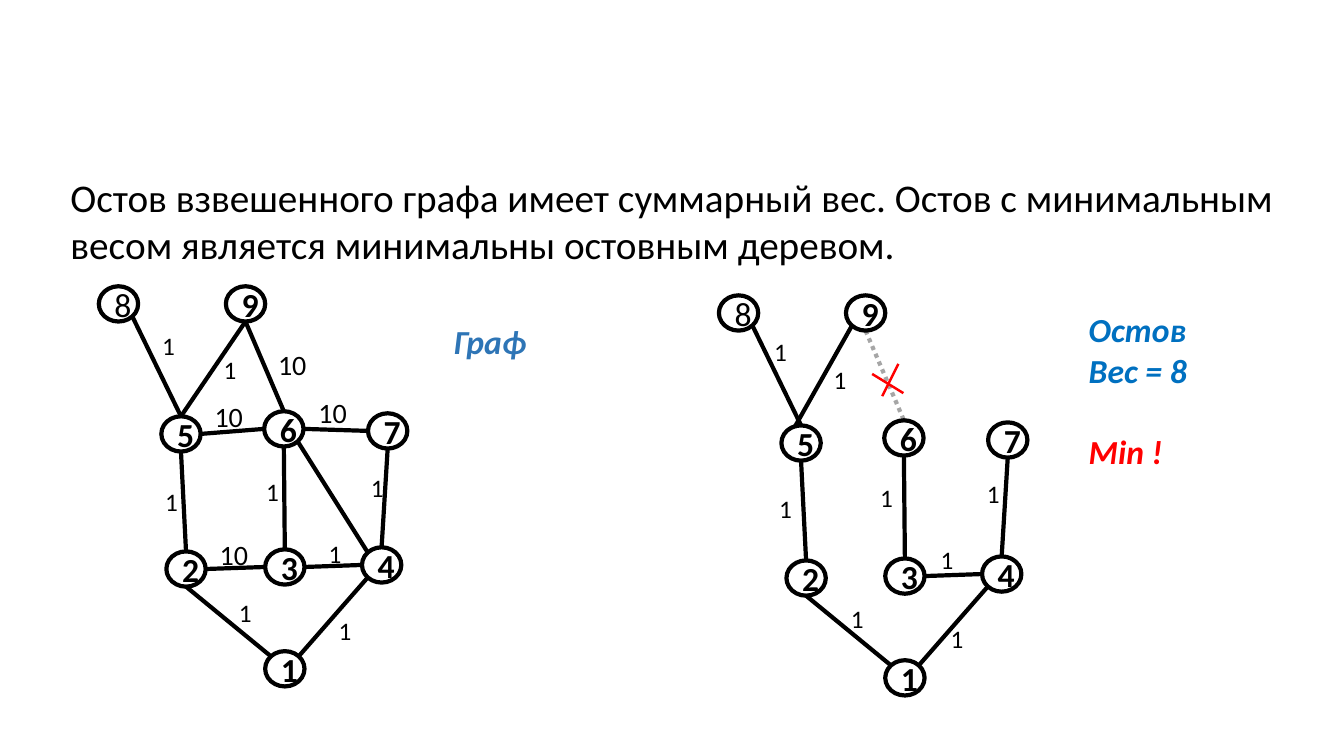
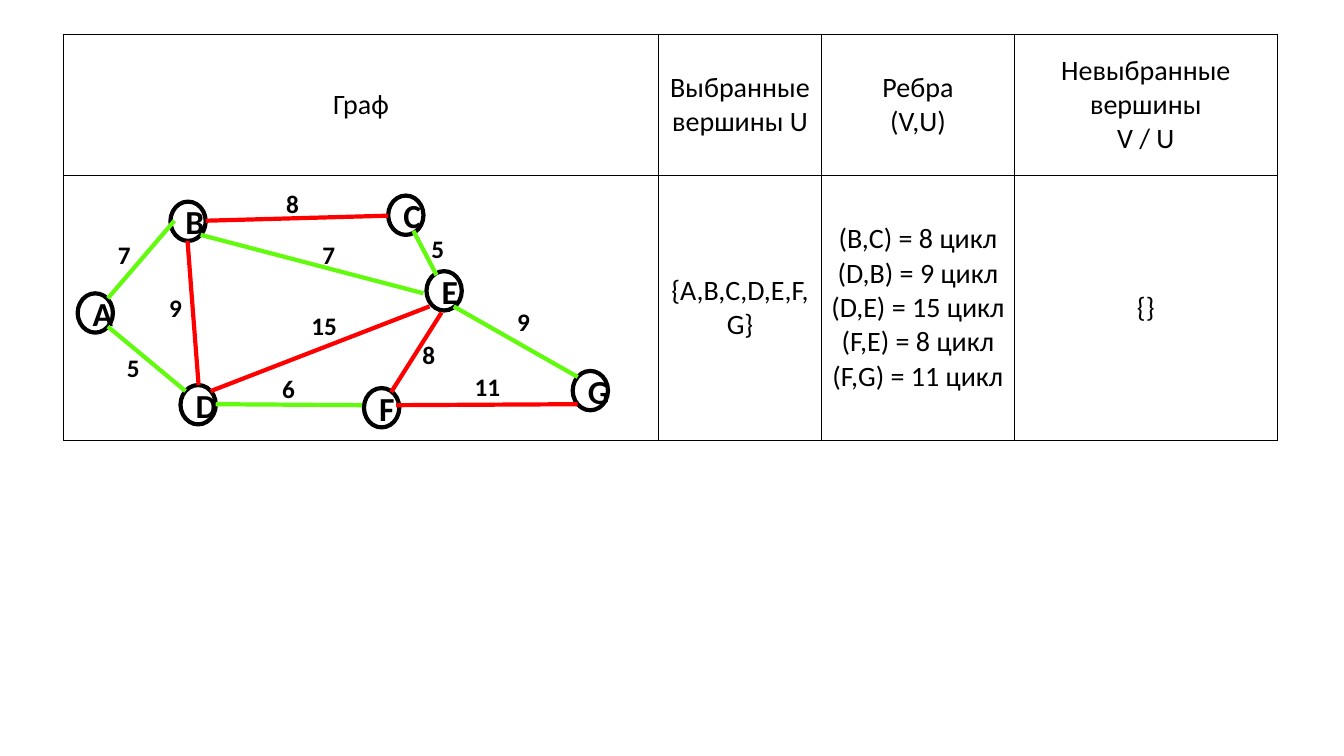
from lxml import etree
from pptx import Presentation
from pptx.dml.color import RGBColor
from pptx.enum.dml import MSO_LINE
from pptx.enum.shapes import MSO_CONNECTOR, MSO_SHAPE
from pptx.enum.text import MSO_ANCHOR, MSO_AUTO_SIZE, PP_ALIGN
from pptx.oxml.ns import qn
from pptx.util import Emu, Pt

LEFT, CENTER = PP_ALIGN.LEFT, PP_ALIGN.CENTER
TOP, MIDDLE = MSO_ANCHOR.TOP, MSO_ANCHOR.MIDDLE
STRAIGHT, ELLIPSE = MSO_CONNECTOR.STRAIGHT, MSO_SHAPE.OVAL
DOTTED = MSO_LINE.ROUND_DOT
GROW = MSO_AUTO_SIZE.SHAPE_TO_FIT_TEXT

FONT = "Calibri"
BLACK, WHITE, RED, GREEN = "000000", "FFFFFF", "FF0000", "62FB0D"
BLUE, TITLE_BLUE, GRAY = "0070C0", "2E75B6", "A6A6A6"
EMU_PER_PX = 9144

NODE_SIZE = (39, 35)
TALL_NODE_SIZE = (35, 39)
SITES = {
    "top": (0.5, 0), "bottom": (0.5, 1), "left": (0, 0.5), "right": (1, 0.5),
    "top left": (0.15, 0.15), "top right": (0.85, 0.15),
    "bottom left": (0.15, 0.85), "bottom right": (0.85, 0.85),
}

NUMBERED_NODES = {
    "8": (0, 0), "9": (126, 0), "5": (62, 129), "6": (164, 124), "7": (267, 126),
    "2": (67, 263), "3": (165, 261), "4": (261, 259), "1": (165, 362),
}
TREE_EDGES = [
    ("8", "bottom right", "5", "top"),
    ("5", "bottom", "2", "top"),
    ("6", "bottom", "3", "top"),
    ("4", "left", "3", "right"),
    ("7", "bottom", "4", "top"),
    ("4", "bottom left", "1", "top right"),
    ("2", "bottom", "1", "top left"),
]
EXTRA_EDGES = [
    ("9", "bottom", "5", "top"),
    ("9", "bottom", "6", "top"),
    ("7", "left", "6", "right"),
    ("6", "left", "5", "right"),
    ("3", "left", "2", "right"),
    ("6", "bottom right", "4", "top left"),
]
GRAPH_ONES = [(53, 39), (156, 184), (56, 194), (114, 63), (218, 245),
              (260, 180), (129, 304), (228, 322)]
GRAPH_TENS = [(168, 56), (208, 103), (105, 107), (110, 244)]
TREE_ONES = [(45, 36), (150, 181), (50, 191), (104, 64), (210, 242),
             (256, 177), (121, 301), (220, 320)]

LETTER_NODES = {
    "A": (14, 117), "B": (106, 26), "C": (322, 20), "D": (116, 208),
    "E": (360, 95), "F": (298, 211), "G": (505, 194),
}
LETTER_EDGES = [
    ((44, 122), (110, 45), GREEN, "7", (44, 59)),
    ((141, 45), (322, 40), RED, "8", (211, 8)),
    ((44, 150), (121, 214), GREEN, "5", (53, 171)),
    ((123, 65), (134, 208), RED, "9", (95, 111)),
    ((347, 55), (370, 99), GREEN, "5", (355, 53)),
    ((136, 59), (357, 117), GREEN, "7", (247, 59)),
    ((146, 214), (363, 130), RED, "15", (236, 129)),
    ((151, 227), (296, 228), GREEN, "6", (207, 191)),
    ((325, 215), (375, 136), RED, "8", (346, 158)),
    ((387, 130), (510, 200), GREEN, "9", (440, 125)),
    ((330, 228), (510, 227), RED, "11", (398, 189)),
]

TABLE_COLUMNS = (590, 162, 191, 261)
TABLE_ROWS = (140, 263)
TABLE_CELLS = [
    ["Граф", "Выбранные вершины U", "Ребра\n(V,U)", "Невыбранные вершины\nV / U"],
    ["", "{A,B,C,D,E,F,G}",
     "(B,C) = 8 цикл\n(D,B) = 9 цикл\n(D,E) = 15 цикл\n(F,E) = 8 цикл\n(F,G) = 11 цикл",
     "{}"],
]


def px(value):
    return Emu(round(value * EMU_PER_PX))


def rgb(color):
    return RGBColor.from_string(color)


def shift(origin, point):
    return origin[0] + point[0], origin[1] + point[1]


def write_text(frame, text, size=18, bold=False, italic=False, color=BLACK, align=LEFT):
    frame.text = text
    for paragraph in frame.paragraphs:
        paragraph.alignment = align
        font = paragraph.font
        font.name, font.size = FONT, Pt(size)
        font.bold, font.italic = bold, italic
        font.color.rgb = rgb(color)


def add_text(slide, box, text, **text_format):
    shape = slide.shapes.add_textbox(*map(px, box))
    frame = shape.text_frame
    frame.word_wrap = True
    frame.auto_size = GROW
    frame.vertical_anchor = TOP
    write_text(frame, text, **text_format)
    return frame


def add_line(slide, start, end, color=BLACK, width=3, dash=None):
    line = slide.shapes.add_connector(STRAIGHT, *map(px, start + end))
    line.line.color.rgb = rgb(color)
    line.line.width = Pt(width)
    if dash is not None:
        line.line.dash_style = dash
    etree.SubElement(line._element.spPr, qn("a:effectLst"))


def add_node(slide, position, size, name, bold=True):
    shape = slide.shapes.add_shape(ELLIPSE, *map(px, position + size))
    shape.shadow.inherit = False
    shape.fill.background()
    shape.line.color.rgb = rgb(BLACK)
    shape.line.width = Pt(3)
    frame = shape.text_frame
    frame.word_wrap = True
    frame.vertical_anchor = MIDDLE
    write_text(frame, name, size=24, bold=bold, align=CENTER)


def site_point(origin, name, site):
    across, down = SITES[site]
    offset = (NODE_SIZE[0] * across, NODE_SIZE[1] * down)
    return shift(shift(origin, NUMBERED_NODES[name]), offset)


def add_edge(slide, origin, edge, **line_format):
    first, first_site, second, second_site = edge
    add_line(slide, site_point(origin, first, first_site),
             site_point(origin, second, second_site), **line_format)


def add_numbered_graph(slide, origin, edges, ones, tens=()):
    for edge in edges:
        add_edge(slide, origin, edge)
    for name, position in NUMBERED_NODES.items():
        add_node(slide, shift(origin, position), NODE_SIZE, name, bold=name != "8")
    for position in ones:
        add_text(slide, shift(origin, position) + (38, 40), "1")
    for position in tens:
        add_text(slide, shift(origin, position) + (60, 44), "10", size=20)


def add_spanning_tree(slide, origin):
    add_edge(slide, origin, ("9", "bottom", "6", "top"), color=GRAY, dash=DOTTED)
    add_numbered_graph(slide, origin, TREE_EDGES, TREE_ONES)
    add_line(slide, shift(origin, (132, 30)), shift(origin, (75, 131)))
    for start, end in [((152, 78), (183, 97)), ((178, 68), (162, 100))]:
        add_line(slide, shift(origin, start), shift(origin, end), color=RED, width=1.75)


def add_lettered_graph(slide, origin):
    for name, position in LETTER_NODES.items():
        add_node(slide, shift(origin, position), TALL_NODE_SIZE, name)
    for start, end, color, weight, position in LETTER_EDGES:
        add_line(slide, shift(origin, start), shift(origin, end), color=color)
        add_text(slide, shift(origin, position) + (53, 40), weight, bold=True)


def add_borders(cell):
    properties = cell._tc.get_or_add_tcPr()
    for side in ("lnL", "lnR", "lnT", "lnB"):
        border = etree.SubElement(properties, qn(f"a:{side}"), w=str(Pt(1)))
        fill = etree.SubElement(border, qn("a:solidFill"))
        etree.SubElement(fill, qn("a:srgbClr"), val=BLACK)


def add_steps_table(slide, origin):
    size = (sum(TABLE_COLUMNS), sum(TABLE_ROWS))
    table = slide.shapes.add_table(len(TABLE_ROWS), len(TABLE_COLUMNS),
                                   *map(px, origin + size)).table
    table.first_row = table.horz_banding = False
    for column, width in zip(table.columns, TABLE_COLUMNS):
        column.width = px(width)
    for row, height, texts in zip(table.rows, TABLE_ROWS, TABLE_CELLS):
        row.height = px(height)
        for cell, text in zip(row.cells, texts):
            add_borders(cell)
            cell.fill.solid()
            cell.fill.fore_color.rgb = rgb(WHITE)
            cell.vertical_anchor = MIDDLE
            write_text(cell.text_frame, text, size=20, align=CENTER)
    for cell in table.rows[1].cells:
        cell.margin_left = cell.margin_right = px(5)


def build_spanning_tree_slide(slide):
    add_text(slide, (60, 167, 1213, 104),
             "Остов взвешенного графа имеет суммарный вес. Остов с минимальным "
             "весом является минимальны остовным деревом.", size=28)
    add_numbered_graph(slide, (98, 284), TREE_EDGES + EXTRA_EDGES, GRAPH_ONES, GRAPH_TENS)
    add_text(slide, (440, 313, 214, 50), "Граф",
             size=24, bold=True, italic=True, color=TITLE_BLUE)
    add_spanning_tree(slide, (713, 293))
    summary = add_text(slide, (1070, 302, 213, 172), "Остов\nВес = 8\nMin !",
                       size=24, bold=True, italic=True, color=BLUE)
    verdict = summary.paragraphs[-1]
    verdict.space_before = Pt(29)
    verdict.font.color.rgb = rgb(RED)


def build_steps_slide(slide):
    left, top = 63, 34
    add_steps_table(slide, (left, top))
    add_lettered_graph(slide, (left, top + TABLE_ROWS[0]))


def main():
    presentation = Presentation()
    presentation.slide_width, presentation.slide_height = px(1333), px(750)
    blank = presentation.slide_layouts[6]
    for build_slide in (build_spanning_tree_slide, build_steps_slide):
        build_slide(presentation.slides.add_slide(blank))
    presentation.save("out.pptx")


if __name__ == "__main__":
    main()
